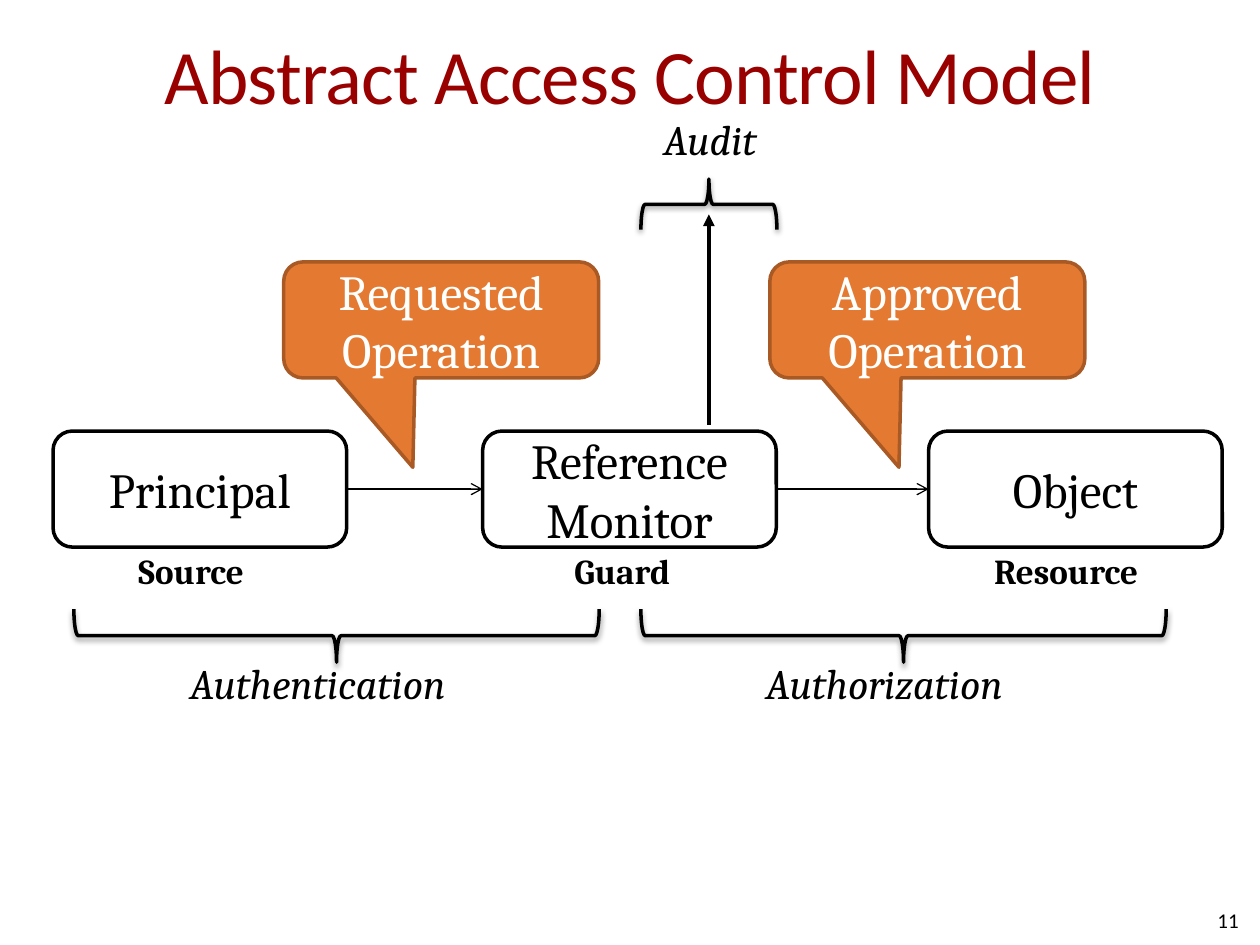
from pptx import Presentation
from pptx.dml.color import RGBColor
from pptx.enum.shapes import MSO_CONNECTOR, MSO_SHAPE
from pptx.enum.text import MSO_ANCHOR, PP_ALIGN
from pptx.oxml import parse_xml
from pptx.oxml.ns import nsdecls, qn
from pptx.oxml.xmlchemy import OxmlElement
from pptx.util import Cm, Pt

COLORS = {
    "ink": "000000",
    "paper": "FFFFFF",
    "title": "990000",
    "callout": "E47932",
    "callout_edge": "A85924",
    "callout_text": "FFFFFE",
}
BODY_FONT = "Cambria"
TITLE_FONT = "Calibri"


def color(name):
    return RGBColor.from_string(COLORS[name])


def write(frame, lines, size, font=BODY_FONT, ink="ink", align=PP_ALIGN.LEFT, bold=False, italic=False):
    para = frame.paragraphs[0]
    para.alignment = align
    for index, line in enumerate(lines):
        if index:
            para.add_line_break()
        span = para.add_run()
        span.text = line
        span.font.size = Pt(size)
        span.font.name = font
        span.font.bold = bold
        span.font.italic = italic
        span.font.color.rgb = color(ink)
    return para


def add_shape(page, kind, box, fill, edge):
    shape = page.shapes.add_shape(kind, *map(Cm, box))
    shape.shadow.inherit = False
    if fill:
        shape.fill.solid()
        shape.fill.fore_color.rgb = color(fill)
    else:
        shape.fill.background()
    shape.line.color.rgb = color(edge)
    shape.line.width = Pt(2)
    return shape


def add_text(page, box, text, size, wrap=False, **style):
    frame = page.shapes.add_textbox(*map(Cm, box)).text_frame
    frame.word_wrap = wrap
    write(frame, [text], size, **style)
    return frame


def add_arrow(page, start, end, width, head):
    arrow = page.shapes.add_connector(MSO_CONNECTOR.STRAIGHT, *map(Cm, start + end))
    arrow.line.color.rgb = color("ink")
    arrow.line.width = Pt(width)
    properties = arrow._element.spPr
    tail = OxmlElement("a:tailEnd")
    tail.set("type", head)
    properties.find(qn("a:ln")).append(tail)
    properties.append(OxmlElement("a:effectLst"))
    return arrow


def add_title(page, box):
    para = write(add_text(page, box, "", 44, wrap=True), ["Abstract Access Control Model"], 44,
                 font=TITLE_FONT, ink="title", align=PP_ALIGN.CENTER)
    for span in para.runs:
        span._r.get_or_add_rPr().set("spc", "-50")


def add_page_number(page, box):
    frame = add_text(page, box, "11", 12, wrap=True, font=TITLE_FONT, align=PP_ALIGN.RIGHT)
    frame.vertical_anchor = MSO_ANCHOR.MIDDLE
    frame.margin_left = frame.margin_right = frame.margin_top = frame.margin_bottom = 0


def add_actor(page, box, lines, role, role_offset, role_width):
    left, top, width, height = box
    actor = add_shape(page, MSO_SHAPE.ROUNDED_RECTANGLE, box, "paper", "ink")
    actor.text_frame.vertical_anchor = MSO_ANCHOR.MIDDLE
    write(actor.text_frame, lines, 28, align=PP_ALIGN.CENTER)
    add_text(page, (left + role_offset, top + height - 0.08, role_width, 1.09), role, 20, bold=True)
    return actor


def add_chain(page, box):
    left, top, width, height = box
    actor_width = 5.92
    actors = [
        add_actor(page, (left + offset, top, actor_width, height), *details)
        for offset, *details in (
            (0, ["Principal"], "Source", 1.47, 2.97),
            (8.66, ["Reference", "Monitor"], "Guard", 1.6, 2.77),
            (width - actor_width, ["Object"], "Resource", 1.07, 3.78),
        )
    ]
    for source, target in zip(actors, actors[1:]):
        arrow = add_arrow(page, (left, top), (left + width, top), 0.75, "arrow")
        arrow.begin_connect(source, 3)
        arrow.end_connect(target, 1)


def add_callout(page, box, lines):
    callout = add_shape(page, MSO_SHAPE.ROUNDED_RECTANGULAR_CALLOUT, box, "callout", "callout_edge")
    callout.adjustments[0] = -0.09
    callout.adjustments[1] = 1.27
    callout.text_frame.vertical_anchor = MSO_ANCHOR.MIDDLE
    write(callout.text_frame, lines, 28, ink="callout_text", align=PP_ALIGN.CENTER)


def add_scope(page, box, label, label_offset, label_width, upward=False):
    left, top, width, height = box
    upright = (left + (width - height) / 2, top + (height - width) / 2, height, width)
    brace = add_shape(page, MSO_SHAPE.LEFT_BRACE, upright, None, "ink")
    brace.rotation = 90 if upward else 270
    brace._element.spPr.find(qn("a:effectLst")).append(parse_xml(
        f'<a:outerShdw {nsdecls("a")} blurRad="40000" dist="20000" dir="5400000" rotWithShape="0">'
        f'<a:srgbClr val="{COLORS["ink"]}"><a:alpha val="38000"/></a:srgbClr></a:outerShdw>'))
    label_top = top - 1.45 if upward else top + height - 0.22
    add_text(page, (left + label_offset, label_top, label_width, 1.27), label, 24, italic=True)


def main():
    deck = Presentation()
    deck.slide_width, deck.slide_height = Cm(25.4), Cm(19.05)
    page = deck.slides.add_slide(deck.slide_layouts[6])

    add_page_number(page, (19.05, 18.03, 5.92, 1.02))
    add_chain(page, (1.07, 8.69, 23.57, 2.34))
    for left, word in ((5.72, "Requested"), (15.52, "Approved")):
        add_callout(page, (left, 5.28, 6.35, 2.34), [word, "Operation"])
    add_scope(page, (1.49, 12.28, 10.59, 1.07), "Authentication", 2.09, 6.35)
    add_scope(page, (12.92, 12.28, 10.59, 1.07), "Authorization", 2.27, 6.02)
    add_scope(page, (12.92, 3.61, 2.74, 1.02), "Audit", 0.21, 2.64, upward=True)
    add_arrow(page, (14.29, 8.56), (14.29, 4.32), 2.25, "triangle")
    add_title(page, (1.27, 0.43, 22.86, 3.18))

    deck.save("out.pptx")


if __name__ == "__main__":
    main()
